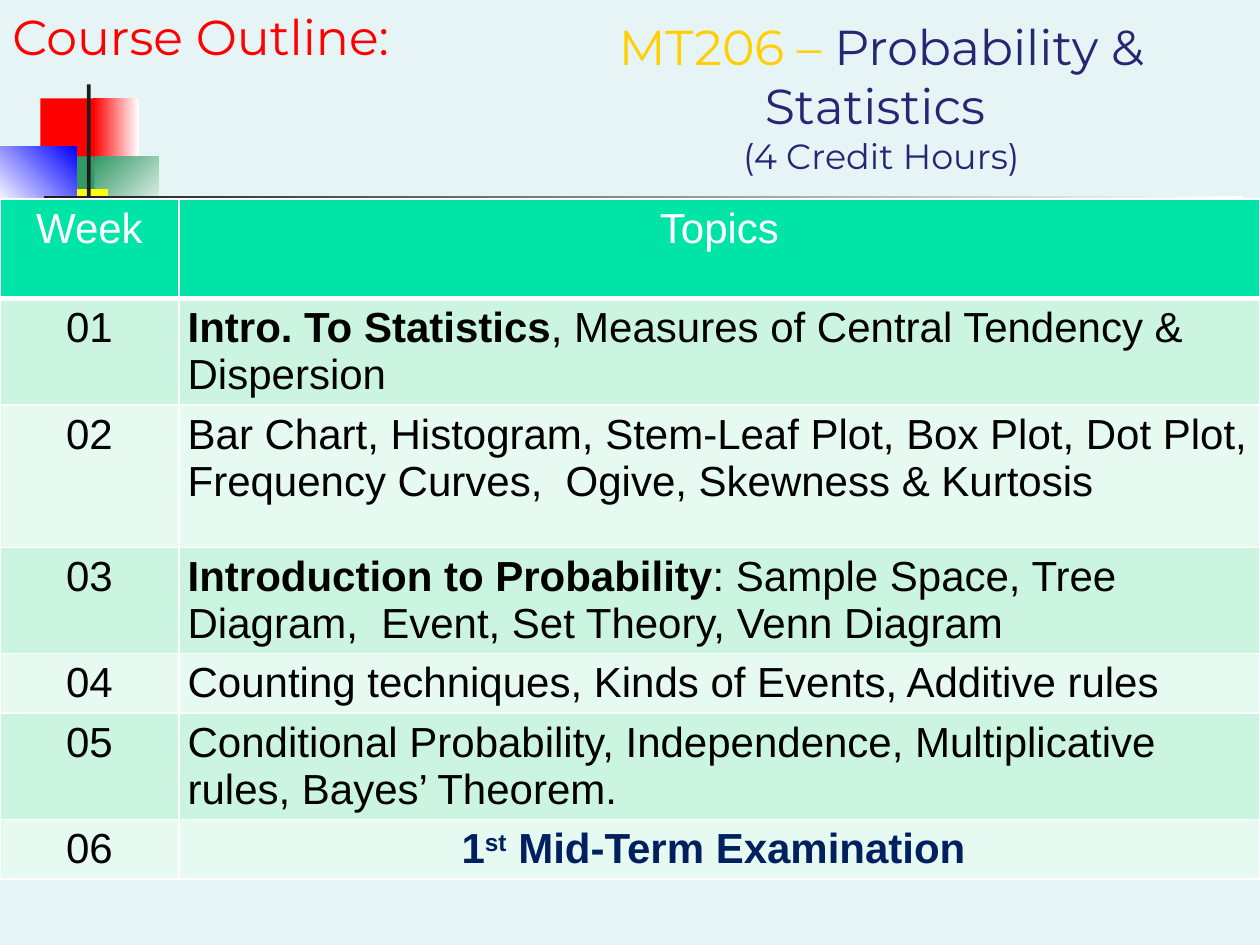
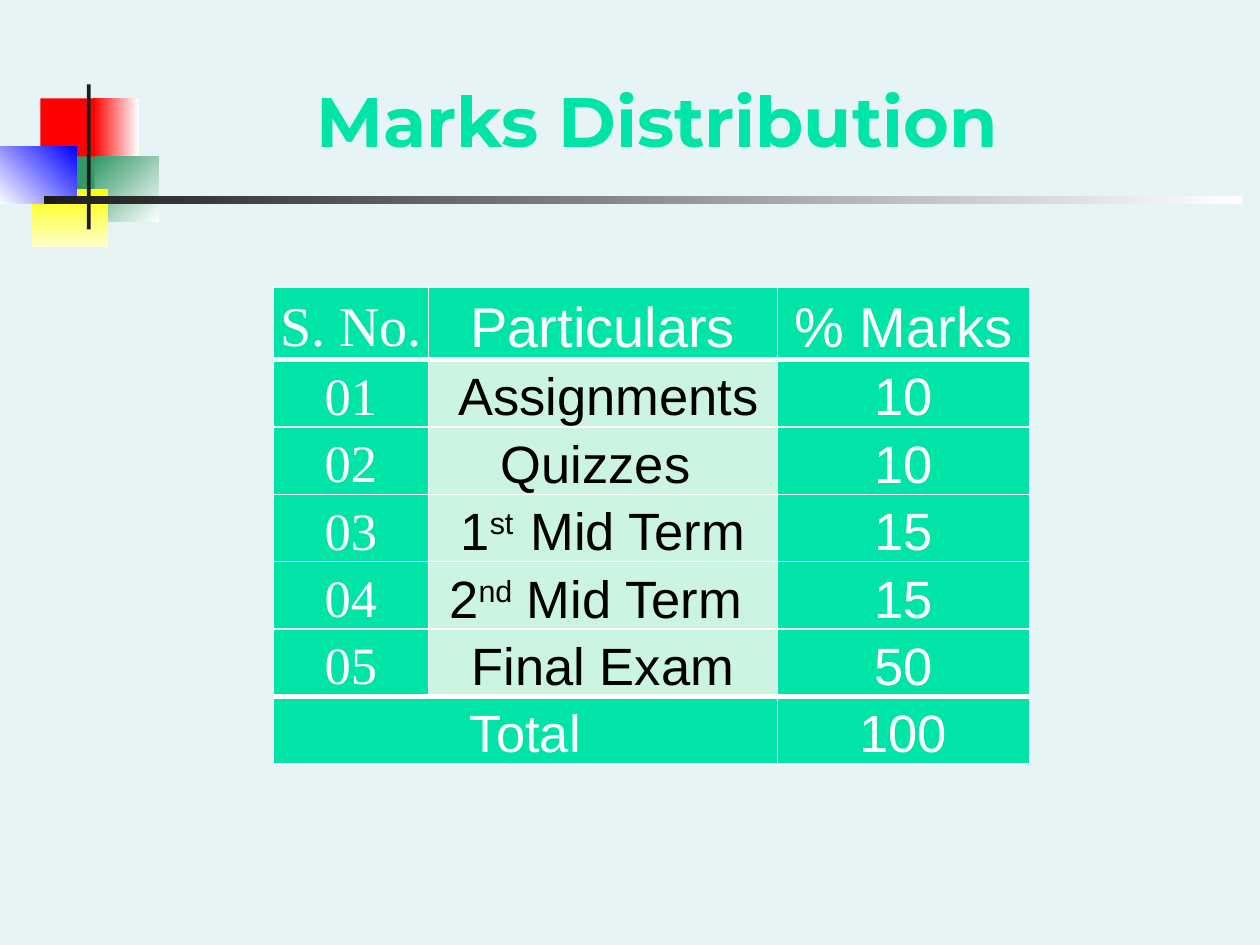
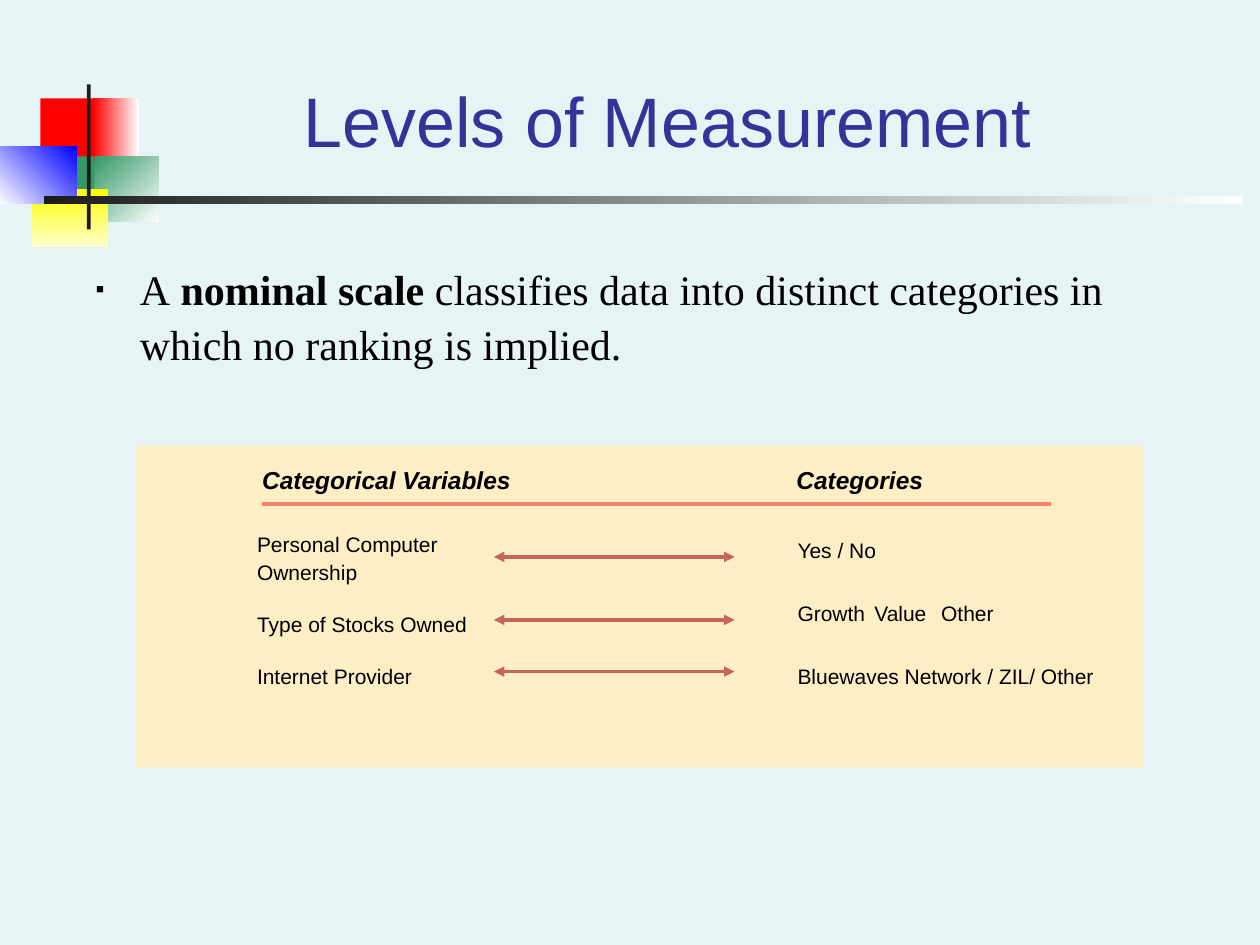
from dataclasses import dataclass
from typing import NamedTuple

from lxml.etree import SubElement
from pptx import Presentation
from pptx.dml.color import RGBColor
from pptx.enum.shapes import MSO_CONNECTOR, MSO_SHAPE
from pptx.enum.text import MSO_ANCHOR, MSO_AUTO_SIZE, PP_ALIGN
from pptx.oxml.ns import qn
from pptx.util import Inches, Pt


@dataclass(frozen=True)
class Theme:
    background: str = "E7F4F5"
    mint: str = "00E4A8"
    band_dark: str = "CCF5E1"
    band_light: str = "E7FAF1"
    white: str = "FFFFFF"
    black: str = "000000"
    ink: str = "1C1C1C"
    red: str = "FF0000"
    green: str = "339966"
    yellow: str = "FFFF00"
    pale_yellow: str = "FFFFCC"
    blue: str = "0000FF"
    gold: str = "FFCF01"
    indigo: str = "262673"
    title_blue: str = "333399"
    exam_navy: str = "002060"
    panel: str = "FEEEC6"
    rule: str = "F4846A"
    arrow: str = "C66657"
    sans: str = "Arial"
    serif: str = "Times New Roman"
    display: str = "Montserrat"
    title_size: int = 40
    course_size: int = 28
    credit_size: int = 20
    body_size: int = 24
    marks_head_size: int = 32
    marks_size: int = 30
    heading_size: int = 14
    label_size: int = 12
    loose: float = 1.1


THEME = Theme()


class Box(NamedTuple):
    left: float
    top: float
    width: float
    height: float

    def inside(self, left, top, width, height):
        return Box(self.left + left, self.top + top, width, height)

    def lengths(self):
        return [Inches(value) for value in self]


TITLE_BOX = Box(1.26, 0.25, 8.07, 1.08)
SUPERSCRIPT = {"baseline": 30000}


# Text helpers
def add_spans(para, spans, base):
    """Spans are (text, format) pairs; a text of "\\n" is a line break."""
    for text, changes in spans:
        if text == "\n":
            para.add_line_break()
            continue
        span = para.add_run()
        span.text = text
        for key, value in {**base, **changes}.items():
            if key == "color":
                span.font.color.rgb = RGBColor.from_string(value)
            elif key == "baseline":
                span._r.get_or_add_rPr().set("baseline", str(value))
            else:
                setattr(span.font, key, value)


def style(size, name, color, **more):
    return {"size": Pt(size), "name": name, "color": color, "bold": False, **more}


def format_frame(frame, margins=(0.1, 0.05), anchor=MSO_ANCHOR.TOP):
    across, down = (Inches(margin) for margin in margins)
    values = {
        "word_wrap": True, "auto_size": MSO_AUTO_SIZE.NONE, "vertical_anchor": anchor,
        "margin_left": across, "margin_right": across,
        "margin_top": down, "margin_bottom": down,
    }
    for key, value in values.items():
        setattr(frame, key, value)


def add_tabs(para, stops):
    tab_list = SubElement(para._p.get_or_add_pPr(), qn("a:tabLst"))
    for stop in stops:
        SubElement(tab_list, qn("a:tab"), pos=str(Inches(stop)), algn="l")


def add_bullet(para, symbol, indent, percent):
    props = para._p.get_or_add_pPr()
    props.set("marL", str(Inches(indent)))
    props.set("indent", str(-Inches(indent)))
    color = SubElement(props, qn("a:buClr"))
    SubElement(color, qn("a:srgbClr"), val=THEME.black)
    SubElement(props, qn("a:buSzPct"), val=str(percent * 1000))
    SubElement(props, qn("a:buFont"), typeface=THEME.sans)
    SubElement(props, qn("a:buChar"), char=symbol)


# Shape helpers
def add_block(shapes, box, color, end_color=None, angle=0):
    block = shapes.add_shape(MSO_SHAPE.RECTANGLE, *box.lengths())
    block.shadow.inherit = False
    block.line.fill.background()
    if end_color is None:
        block.fill.solid()
        block.fill.fore_color.rgb = RGBColor.from_string(color)
    else:
        block.fill.gradient()
        block.fill.gradient_angle = angle
        for stop, shade in zip(block.fill.gradient_stops, (color, end_color)):
            stop.color.rgb = RGBColor.from_string(shade)
    return block


def add_line(page, panel, start, end, color, arrows=False):
    ends = [Inches(panel.left + start[0]), Inches(panel.top + start[1]),
            Inches(panel.left + end[0]), Inches(panel.top + end[1])]
    line = page.shapes.add_connector(MSO_CONNECTOR.STRAIGHT, *ends)
    line.line.color.rgb = RGBColor.from_string(color)
    line.line.width = Pt(1.9)
    if arrows:
        stroke = line.line._get_or_add_ln()
        for tag in ("a:headEnd", "a:tailEnd"):
            SubElement(stroke, qn(tag), type="triangle")
    SubElement(line._element.spPr, qn("a:effectLst"))


# Table helpers
def add_grid(page, box, widths, heights):
    table = page.shapes.add_table(len(heights), len(widths), *box.lengths()).table
    table.first_row = table.horz_banding = False
    for column, width in zip(table.columns, widths):
        column.width = Inches(width)
    for row, height in zip(table.rows, heights):
        row.height = Inches(height)
    return table


def fill_cell(cell, spans, base, color, align=PP_ALIGN.CENTER, margins=(0.07, 0.05),
              anchor=MSO_ANCHOR.TOP, spacing=None, thick=None):
    props = cell._tc.get_or_add_tcPr()
    for side in ("lnL", "lnR", "lnT", "lnB"):
        width = Pt(3 if side == thick else 1)
        border = SubElement(props, qn(f"a:{side}"), w=str(width))
        paint = SubElement(border, qn("a:solidFill"))
        SubElement(paint, qn("a:srgbClr"), val=THEME.white)
    cell.fill.solid()
    cell.fill.fore_color.rgb = RGBColor.from_string(color)
    cell.margin_left = cell.margin_right = Inches(margins[0])
    cell.margin_top = cell.margin_bottom = Inches(margins[1])
    cell.vertical_anchor = anchor
    para = cell.text_frame.paragraphs[0]
    para.alignment = align
    if spacing:
        para.line_spacing = spacing
    add_spans(para, spans, base)


# Shared parts: coloured squares and rule on the layout, title on each slide
def build_emblem(page, layout):
    emblem = page.shapes.add_group_shape()
    blocks = [
        (Box(0.32, 0.78, 0.48, 0.52), THEME.red),
        (Box(0.74, 0.78, 0.36, 0.52), THEME.red, THEME.white),
        (Box(0.75, 1.24, 0.51, 0.52), THEME.green, THEME.white, 315),
        (Box(0.43, 1.24, 0.32, 0.52), THEME.green),
        (Box(0.25, 1.5, 0.61, 0.46), THEME.yellow, THEME.pale_yellow, 270),
        (Box(0, 1.16, 0.61, 0.46), THEME.white, THEME.blue, 45),
        (Box(0.69, 0.67, 0.03, 1.15), THEME.ink),
        (Box(0.35, 1.56, 9.51, 0.06), THEME.ink, THEME.white),
    ]
    for block in blocks:
        add_block(emblem.shapes, *block)
    layout.shapes.element.append(emblem.element)


def set_title(page, box, spans, base):
    title = page.shapes.title
    title.left, title.top, title.width, title.height = box.lengths()
    format_frame(title.text_frame, (0.09, 0.05), MSO_ANCHOR.BOTTOM)
    para = title.text_frame.paragraphs[0]
    para.alignment = PP_ALIGN.CENTER
    add_spans(para, spans, base)


# Slide 1: course outline
def build_topics(page, box):
    weeks = [
        [("Intro. To Statistics", {"bold": True}),
         (", Measures of Central Tendency & Dispersion", {})],
        [("Bar Chart, Histogram, Stem-Leaf Plot, Box Plot, Dot Plot, "
          "Frequency Curves,  Ogive, Skewness & Kurtosis", {})],
        [("Introduction to Probability", {"bold": True}),
         (": Sample Space, Tree Diagram,  Event, Set Theory, Venn Diagram", {})],
        [("Counting techniques, Kinds of Events, Additive rules", {})],
        [("Conditional Probability, Independence, Multiplicative rules, "
          "Bayes’ Theorem.", {})],
        [("1", {}), ("st", SUPERSCRIPT), (" Mid-Term Examination ", {})],
    ]
    table = add_grid(page, box, (1.42, box.width - 1.42),
                     (0.79, 0.79, 1.13, 0.79, 0.44, 0.79, 0.44))
    head = style(THEME.body_size, THEME.sans, THEME.white)
    body = {**head, "color": THEME.black}
    exam = {**head, "color": THEME.exam_navy, "bold": True}
    for column, text in enumerate(("Week", "Topics")):
        fill_cell(table.cell(0, column), [(text, {})], head, THEME.mint, thick="lnB")
    for week, topics in enumerate(weeks, 1):
        color = THEME.band_dark if week % 2 else THEME.band_light
        is_exam = week == len(weeks)
        fill_cell(table.cell(week, 0), [(f"{week:02}", {})], body, color)
        fill_cell(table.cell(week, 1), topics, exam if is_exam else body, color,
                  PP_ALIGN.CENTER if is_exam else PP_ALIGN.LEFT)


def build_outline(page):
    base = style(THEME.course_size, THEME.display, THEME.indigo)
    set_title(page, Box(4.5, 0, 4.99, 1.45), [
        ("MT206 – ", {"color": THEME.gold}),
        ("Probability & Statistics ", {}),
        ("\n", {}),
        ("(4 Credit Hours)", {"size": Pt(THEME.credit_size)}),
    ], base)
    build_topics(page, Box(0, 1.58, 10, 5.62))
    caption = page.shapes.add_textbox(*Box(0, 0, 3.67, 0.57).lengths())
    format_frame(caption.text_frame)
    add_spans(caption.text_frame.paragraphs[0], [("Course Outline:", {})],
              {**base, "color": THEME.red})


# Slide 2: marks distribution
def build_marks(page, box):
    particulars = [
        ([(" Assignments", {})], 10),
        ([("Quizzes ", {})], 10),
        ([("1", {}), ("st  ", SUPERSCRIPT), ("Mid Term", {})], 15),
        ([("2", {}), ("nd", SUPERSCRIPT), (" Mid Term ", {})], 15),
        ([("Final Exam", {})], 50),
    ]
    total_row = len(particulars) + 1
    table = add_grid(page, box, (1.23, 2.77, 2), [0.53] * (total_row + 1))
    look = {"margins": (0.02, 0), "anchor": MSO_ANCHOR.MIDDLE, "spacing": 1.15}
    head = style(THEME.marks_head_size, THEME.sans, THEME.white)
    body = {**head, "size": Pt(THEME.marks_size)}
    serif = {"name": THEME.serif}

    headings = [("S. No. ", serif), ("Particulars", {}), ("% Marks", {})]
    for column, heading in enumerate(headings):
        fill_cell(table.cell(0, column), [heading], head, THEME.mint, thick="lnB", **look)
    for row, (spans, marks) in enumerate(particulars, 1):
        fill_cell(table.cell(row, 0), [(f"{row:02}", serif)], body, THEME.mint, **look)
        fill_cell(table.cell(row, 1), spans, {**body, "color": THEME.black},
                  THEME.band_dark, **look)
        fill_cell(table.cell(row, 2), [(str(marks), {})], body, THEME.mint, **look)

    table.cell(total_row, 0).merge(table.cell(total_row, 1))
    total = sum(marks for _, marks in particulars)
    for column, text in ((0, "Total"), (2, str(total))):
        fill_cell(table.cell(total_row, column), [(text, {})], body, THEME.mint,
                  thick="lnT", **look)


def build_distribution(page):
    set_title(page, TITLE_BOX, [("Marks Distribution ", {})],
              style(THEME.title_size, THEME.display, THEME.mint, bold=True))
    build_marks(page, Box(2.17, 2.28, 6, 3.74))


# Slide 3: levels of measurement
def add_label(page, box, lines, base, tabs=(), gap=0):
    label = add_block(page.shapes, box, THEME.panel)
    frame = label.text_frame
    format_frame(frame, (0, 0))
    for index, text in enumerate(lines):
        para = frame.add_paragraph() if index else frame.paragraphs[0]
        para.alignment = PP_ALIGN.LEFT
        para.line_spacing = THEME.loose
        if index:
            para.space_before = Pt(gap)
        if tabs:
            add_tabs(para, tabs)
        add_spans(para, [(text, {})], base)


def build_definition(page, box):
    frame = page.shapes.add_textbox(*box.lengths()).text_frame
    format_frame(frame, (0.09, 0.05))
    para = frame.paragraphs[0]
    para.line_spacing = THEME.loose
    add_bullet(para, "▪", 0.35, 60)
    add_spans(para, [
        ("A", {}),
        (" nominal scale", {"bold": True}),
        (" classifies data into distinct categories in which no ranking is implied.", {}),
    ], style(THEME.body_size, THEME.serif, THEME.black))


def build_categories(page, panel):
    add_block(page.shapes, panel, THEME.panel)
    heading = style(THEME.heading_size, THEME.sans, THEME.black, bold=True, italic=True)
    label = style(THEME.label_size, THEME.sans, THEME.black)
    add_label(page, panel.inside(1, 0.13, 6.49, 0.66),
              ["Categorical Variables\tCategories"], heading, tabs=[4.24])
    add_label(page, panel.inside(0.96, 0.66, 2.1, 1.55),
              ["Personal Computer Ownership", "Type of Stocks Owned", "Internet Provider"],
              label, gap=14)

    values = [
        ("Yes / No", 0.97, 0.28, ()),
        ("Growth\tValue\tOther", 1.87, 0.34, (0.61, 1.14)),
        ("Bluewaves Network / ZIL/ Other", 2.5, 0.24, ()),
    ]
    for index, (text, width, height, tabs) in enumerate(values):
        add_label(page, panel.inside(5.25, 0.71 + 0.5 * index, width, height),
                  [text], label, tabs)

    add_line(page, panel, (1, 0.46), (7.26, 0.46), THEME.rule)
    for level in (0.88, 1.38, 1.79):
        add_line(page, panel, (2.84, level), (4.75, level), THEME.arrow, arrows=True)


def build_levels(page):
    set_title(page, TITLE_BOX, [("Levels of Measurement", {})],
              style(THEME.title_size, THEME.sans, THEME.title_blue))
    build_definition(page, Box(0.67, 2, 8.83, 1.19))
    build_categories(page, Box(1.08, 3.54, 8, 2.55))


def main():
    deck = Presentation()
    deck.slide_width, deck.slide_height = Inches(10), Inches(7.5)
    backdrop = deck.slide_master.background.fill
    backdrop.solid()
    backdrop.fore_color.rgb = RGBColor.from_string(THEME.background)
    layout = deck.slide_layouts.get_by_name("Title Only")
    pages = [deck.slides.add_slide(layout) for _ in range(3)]
    build_emblem(pages[0], layout)
    for build, page in zip((build_outline, build_distribution, build_levels), pages):
        build(page)
    deck.save("out.pptx")


if __name__ == "__main__":
    main()
